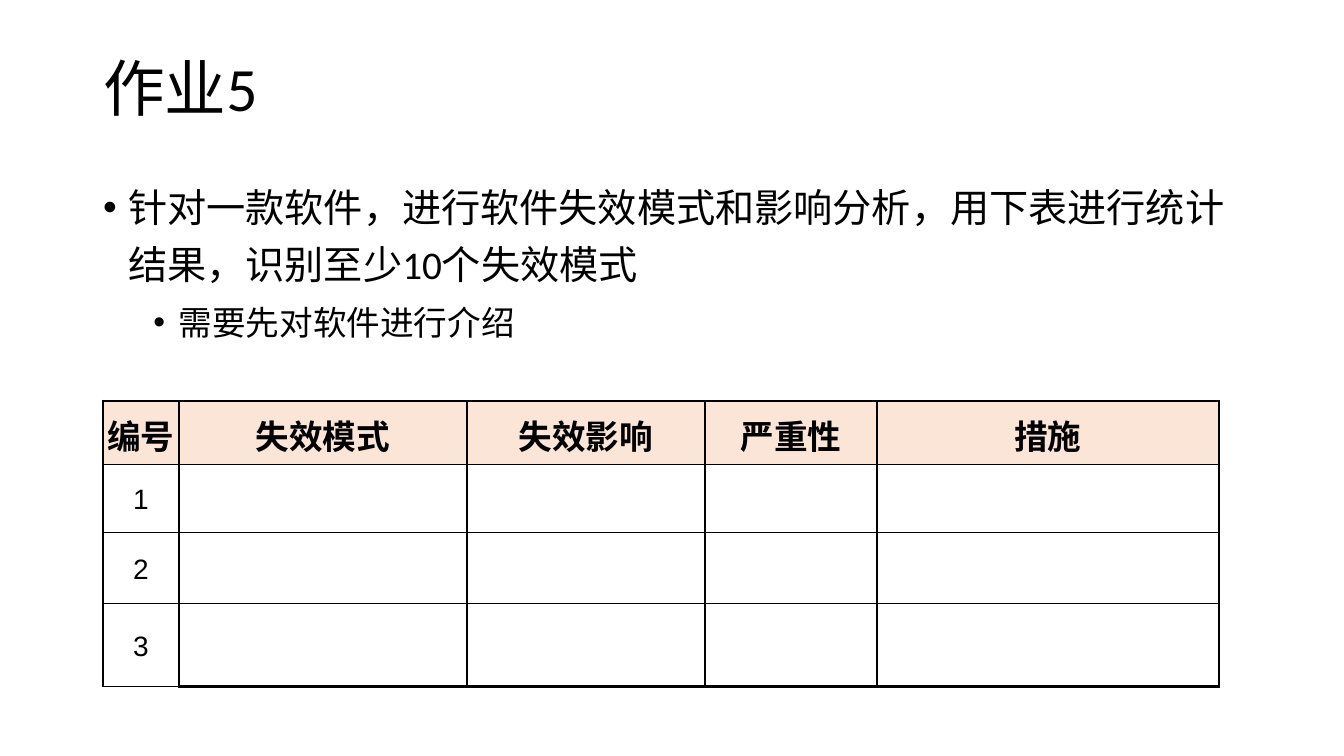
from dataclasses import dataclass

from lxml import etree
from pptx import Presentation
from pptx import util as u
from pptx.dml.color import RGBColor
from pptx.enum import text as tx
from pptx.oxml import ns


@dataclass(frozen=True)
class Theme:
    ink: str = "000000"
    head: str = "FBE5D6"
    latin: str = "Calibri"
    grid: str = "Arial"
    title: int = 44
    body: int = 28
    sub: int = 24
    num: int = 20
    thin: float = 1
    thick: float = 2.25


THEME = Theme()
SCALE = 914400 / 100.8  # EMU in one px
HEADS = ["编号", "失效模式", "失效影响", "严重性", "措施"]
COLS = [76, 288, 238, 172, 342]
ROWS = [58, 68, 71, 83]
POINTS = [
    ("针对一款软件，进行软件失效模式和影响分析，用下表进行统计结果，识别至少10个失效模式", THEME.body, 0),
    ("需要先对软件进行介绍", THEME.sub, 5),
]


def px(n):
    return u.Emu(round(n * SCALE))


def apply(item, **values):
    for name, value in values.items():
        setattr(item, name, value)


def place(shape, box):
    apply(shape, **dict(zip(("left", "top", "width", "height"), map(px, box))))


def write(para, words, size, font, bold=False):
    run = para.add_run()
    run.text = words
    apply(run.font, size=u.Pt(size), name=font, bold=bold)
    run.font.color.rgb = RGBColor.from_string(THEME.ink)


def bullet(para, level):
    props = para._p.get_or_add_pPr()
    props.set("marL", str(u.Inches(0.25 + 0.5 * level)))
    props.set("indent", str(-u.Inches(0.25)))
    etree.SubElement(props, ns.qn("a:buFont")).set("typeface", "Arial")
    etree.SubElement(props, ns.qn("a:buChar")).set("char", "•")


def border(cell, widths):
    props = cell._tc.get_or_add_tcPr()
    for i, (side, width) in enumerate(zip("LRTB", widths)):
        line = etree.Element(ns.qn(f"a:ln{side}"), w=str(u.Pt(width)))
        fill = etree.SubElement(line, ns.qn("a:solidFill"))
        etree.SubElement(fill, ns.qn("a:srgbClr")).set("val", THEME.ink)
        props.insert(i, line)


# Title
def add_title(slide, box):
    shape = slide.shapes.title
    place(shape, box)
    frame = shape.text_frame
    apply(frame, vertical_anchor=tx.MSO_ANCHOR.MIDDLE, auto_size=tx.MSO_AUTO_SIZE.NONE)
    para = frame.paragraphs[0]
    apply(para, alignment=tx.PP_ALIGN.LEFT, line_spacing=0.9)
    write(para, "作业5", THEME.title, THEME.latin)


# Task list
def add_list(slide, box):
    shape = slide.placeholders[1]
    place(shape, box)
    frame = shape.text_frame
    frame.auto_size = tx.MSO_AUTO_SIZE.NONE
    for level, (words, size, gap) in enumerate(POINTS):
        para = frame.add_paragraph() if level else frame.paragraphs[0]
        bullet(para, level)
        apply(para, level=level, line_spacing=1.2, space_before=u.Pt(gap))
        write(para, words, size, THEME.latin)


# Failure table
def add_grid(slide, left, top):
    box = map(px, (left, top, sum(COLS), sum(ROWS)))
    table = slide.shapes.add_table(len(ROWS), len(COLS), *box).table
    apply(table, first_row=False, horz_banding=False)
    for col, width in zip(table.columns, COLS):
        col.width = px(width)
    for row, height in zip(table.rows, ROWS):
        row.height = px(height)
    end, foot = len(COLS) - 1, len(ROWS) - 1
    for r in range(len(ROWS)):
        for c in range(len(COLS)):
            cell = table.cell(r, c)
            cell.vertical_anchor = tx.MSO_ANCHOR.MIDDLE
            para = cell.text_frame.paragraphs[0]
            apply(para, alignment=tx.PP_ALIGN.CENTER, line_spacing=1.1)
            if r == 0:
                apply(cell, margin_left=0, margin_right=0)
                cell.fill.solid()
                cell.fill.fore_color.rgb = RGBColor.from_string(THEME.head)
                write(para, HEADS[c], THEME.sub, THEME.grid, True)
            else:
                cell.fill.background()
                if c == 0:
                    write(para, str(r), THEME.num, THEME.grid)
            # Heavy outer frame, except under the last number
            outer = (c == 0, c == end, r == 0, r == foot and c > 0)
            border(cell, [THEME.thick if edge else THEME.thin for edge in outer])


def main():
    deck = Presentation()
    apply(deck, slide_width=px(1344), slide_height=px(756))
    slide = deck.slides.add_slide(deck.slide_layouts[1])
    add_title(slide, (93, 40, 1159, 103))
    add_list(slide, (93, 169, 1159, 185))
    add_grid(slide, 103, 401)
    deck.save("out.pptx")


if __name__ == "__main__":
    main()
